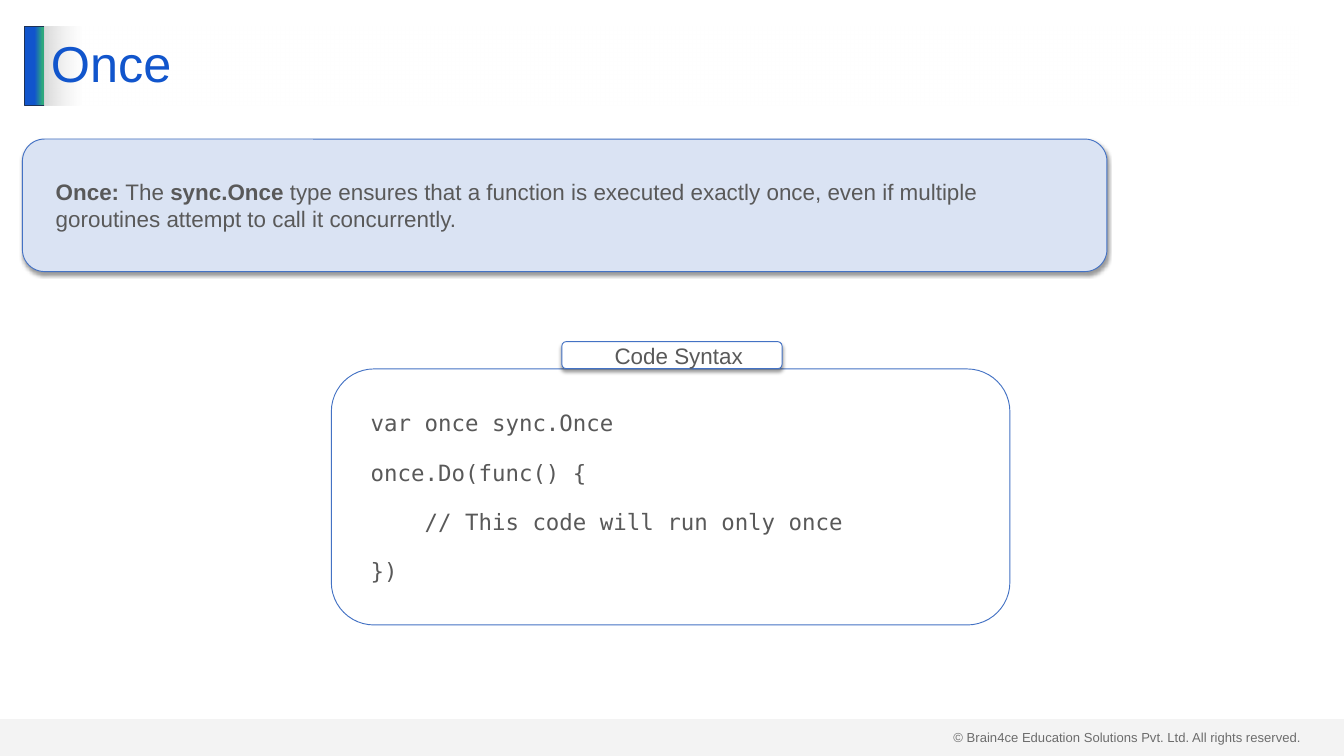
import pptx
import pptx.util
import pptx.dml.color
import pptx.enum.shapes
import pptx.enum.text
import pptx.oxml
import pptx.oxml.ns

Pt = pptx.util.Pt
SHAPE = pptx.enum.shapes.MSO_SHAPE
ANCHOR = pptx.enum.text.MSO_ANCHOR
ALIGN = pptx.enum.text.PP_ALIGN
DRAWING = pptx.oxml.ns.nsdecls("a")

COLORS = {
    "title": "1155CC",
    "accent_end": "2EA87D",
    "accent_edge": "1E3256",
    "title_fade": "D9D9D9",
    "footer": "D9D9D9",
    "footer_text": "404040",
    "outline": "4472C4",
    "definition": "DAE3F3",
    "body": "595959",
    "white": "FFFFFF",
    "shadow": "000000",
}
BODY_FONT = "Arial"
CODE_FONT = "DejaVu Sans Mono"

DEFINITION = [
    ("Once: ", True),
    ("The ", False),
    ("sync.Once ", True),
    ("type ensures that a function is executed exactly once, even if multiple "
     "goroutines attempt to call it concurrently.", False),
]
CODE = [
    "var once sync.Once",
    "once.Do(func() {",
    "    // This code will run only once",
    "})",
]


def rgb(name):
    return pptx.dml.color.RGBColor.from_string(COLORS[name])


def color_xml(name, alpha=100):
    return (f'<a:srgbClr val="{COLORS[name]}">'
            f'<a:alpha val="{alpha * 1000}"/></a:srgbClr>')


def add_block(slide, kind, box, fill=None, line=None):
    block = slide.shapes.add_shape(kind, *map(Pt, box))
    block.shadow.inherit = False
    if fill:
        block.fill.solid()
        block.fill.fore_color.rgb = rgb(fill)
    else:
        block.fill.background()
    if line:
        block.line.color.rgb = rgb(line)
        block.line.width = Pt(1)
    else:
        block.line.fill.background()
    return block


def set_gradient(block, stops):
    stop_xml = "".join(f'<a:gs pos="{pos * 1000}">{color_xml(name, alpha)}</a:gs>'
                       for pos, name, alpha in stops)
    gradient = pptx.oxml.parse_xml(
        f'<a:gradFill {DRAWING} rotWithShape="1"><a:gsLst>{stop_xml}</a:gsLst>'
        '<a:lin ang="0" scaled="0"/></a:gradFill>')
    properties = block.element.spPr
    old_fill = properties.find(pptx.oxml.ns.qn("a:noFill"))
    properties.replace(old_fill, gradient)


def set_shadow(block):
    effects = block.element.spPr.find(pptx.oxml.ns.qn("a:effectLst"))
    effects.append(pptx.oxml.parse_xml(
        f'<a:outerShdw {DRAWING} blurRad="{Pt(4)}" dist="{Pt(3)}" dir="5400000" '
        f'algn="t" rotWithShape="0">{color_xml("shadow", 40)}</a:outerShdw>'))


def set_font(font, size, name, color):
    font.size = Pt(size)
    font.name = name
    font.color.rgb = rgb(color)


def add_panel(slide, box, fill=None, shadow=False):
    panel = add_block(slide, SHAPE.ROUNDED_RECTANGLE, box, fill, "outline")
    if shadow:
        set_shadow(panel)
    frame = panel.text_frame
    frame.word_wrap = True
    frame.vertical_anchor = ANCHOR.MIDDLE
    frame.margin_left = frame.margin_right = Pt(14.4)
    frame.margin_top = frame.margin_bottom = Pt(7.2)
    return frame


def format_panel(frame, font_name, align):
    for index, paragraph in enumerate(frame.paragraphs):
        paragraph.alignment = align
        paragraph._p.get_or_add_pPr().set("marL", str(Pt(14.4)))
        paragraph._p.get_or_add_pPr().set("indent", "0")
        if index:
            paragraph.space_before = Pt(24)
        for run in paragraph.runs:
            set_font(run.font, 24, font_name, "body")


def add_footer(slide, box):
    left, top, width, height = box
    notice = slide.shapes.add_textbox(Pt(left + 1014.5), Pt(top + 7.2), Pt(389.5), Pt(24.5))
    notice.text_frame.word_wrap = True
    notice.text_frame.text = "© Brain4ce Education Solutions Pvt. Ltd. All rights reserved."
    set_font(notice.text_frame.paragraphs[0].runs[0].font, 14, BODY_FONT, "footer_text")
    bar = add_block(slide, SHAPE.RECTANGLE, box, "footer")
    bar_color = bar.element.spPr.find(".//" + pptx.oxml.ns.qn("a:srgbClr"))
    bar_color.append(pptx.oxml.parse_xml(f'<a:alpha {DRAWING} val="29000"/>'))


def add_title(slide, box):
    left, top, width, height = box
    accent_width = 21
    accent = add_block(slide, SHAPE.RECTANGLE, (left, top, accent_width, height),
                       line="accent_edge")
    set_gradient(accent, [(51, "title", 100), (90, "accent_end", 100),
                          (100, "accent_end", 100)])
    heading = add_block(slide, SHAPE.RECTANGLE,
                        (left + accent_width, top, width - accent_width, height))
    set_gradient(heading, [(0, "title_fade", 100), (3, "white", 50)])
    frame = heading.text_frame
    frame.word_wrap = True
    frame.vertical_anchor = ANCHOR.MIDDLE
    frame.text = "Once"
    paragraph = frame.paragraphs[0]
    paragraph.alignment = ALIGN.LEFT
    paragraph.line_spacing = 0.9
    set_font(paragraph.runs[0].font, 54, BODY_FONT, "title")


def add_definition(slide, box):
    frame = add_panel(slide, box, "definition", shadow=True)
    for text, bold in DEFINITION:
        run = frame.paragraphs[0].add_run()
        run.text = text
        run.font.bold = bold
    format_panel(frame, BODY_FONT, ALIGN.LEFT)


def add_code(slide, box):
    left, top, width, height = box
    listing = add_panel(slide, box)
    listing.text = "\n".join(CODE)
    format_panel(listing, CODE_FONT, ALIGN.LEFT)
    label = add_panel(slide, (left + 247, top - 29.3, 236, 29), "white", shadow=True)
    label.text = "Code Syntax"
    format_panel(label, BODY_FONT, ALIGN.CENTER)


def main():
    deck = pptx.Presentation()
    deck.slide_width, deck.slide_height = Pt(1440), Pt(810)
    slide = deck.slides.add_slide(deck.slide_layouts[6])
    add_footer(slide, (0, 770.4, 1440, 39.6))
    add_title(slide, (26.5, 28, 1365, 85))
    add_code(slide, (355, 395.3, 727, 274.3))
    add_definition(slide, (24, 149, 1162, 142))
    deck.save("out.pptx")


if __name__ == "__main__":
    main()
